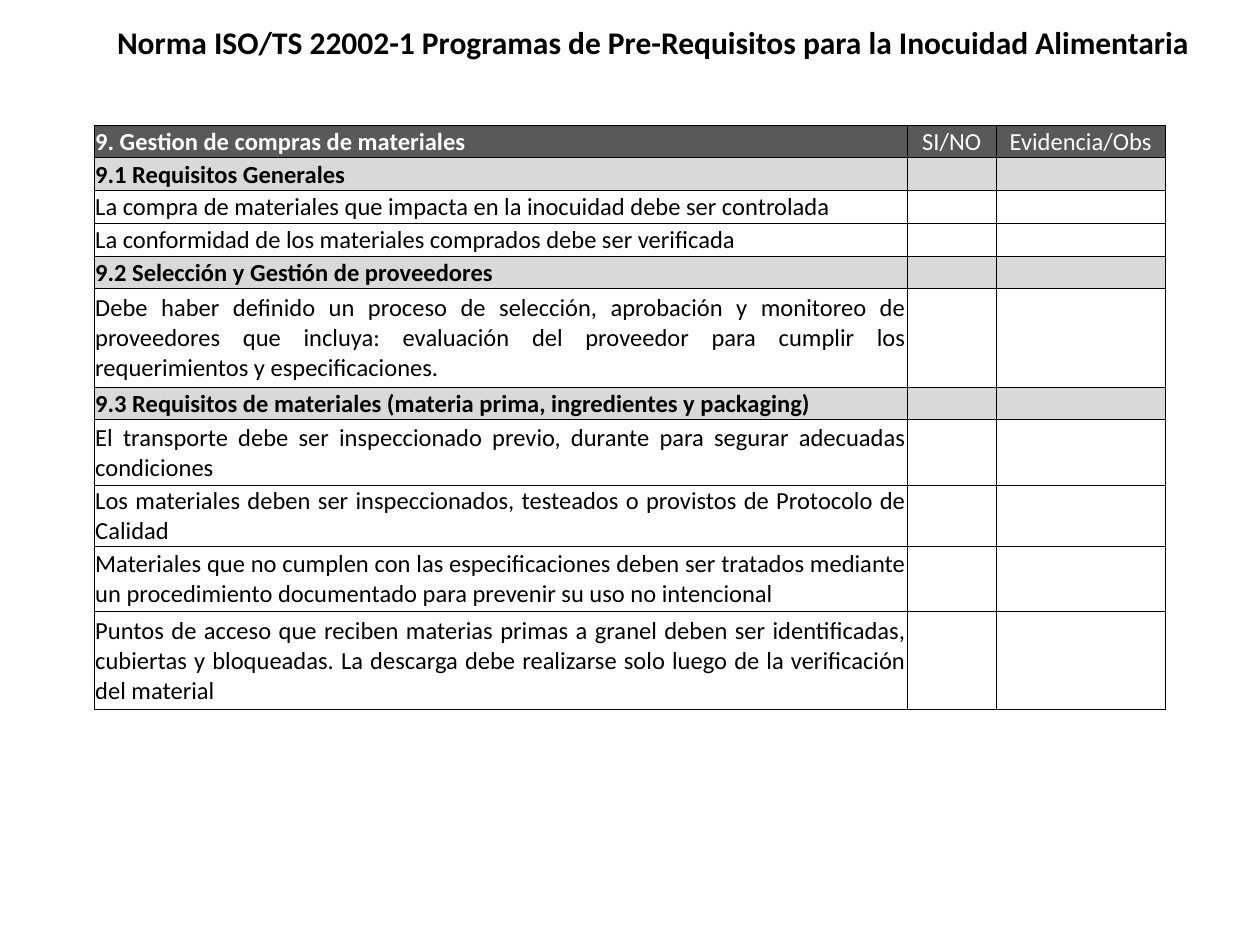
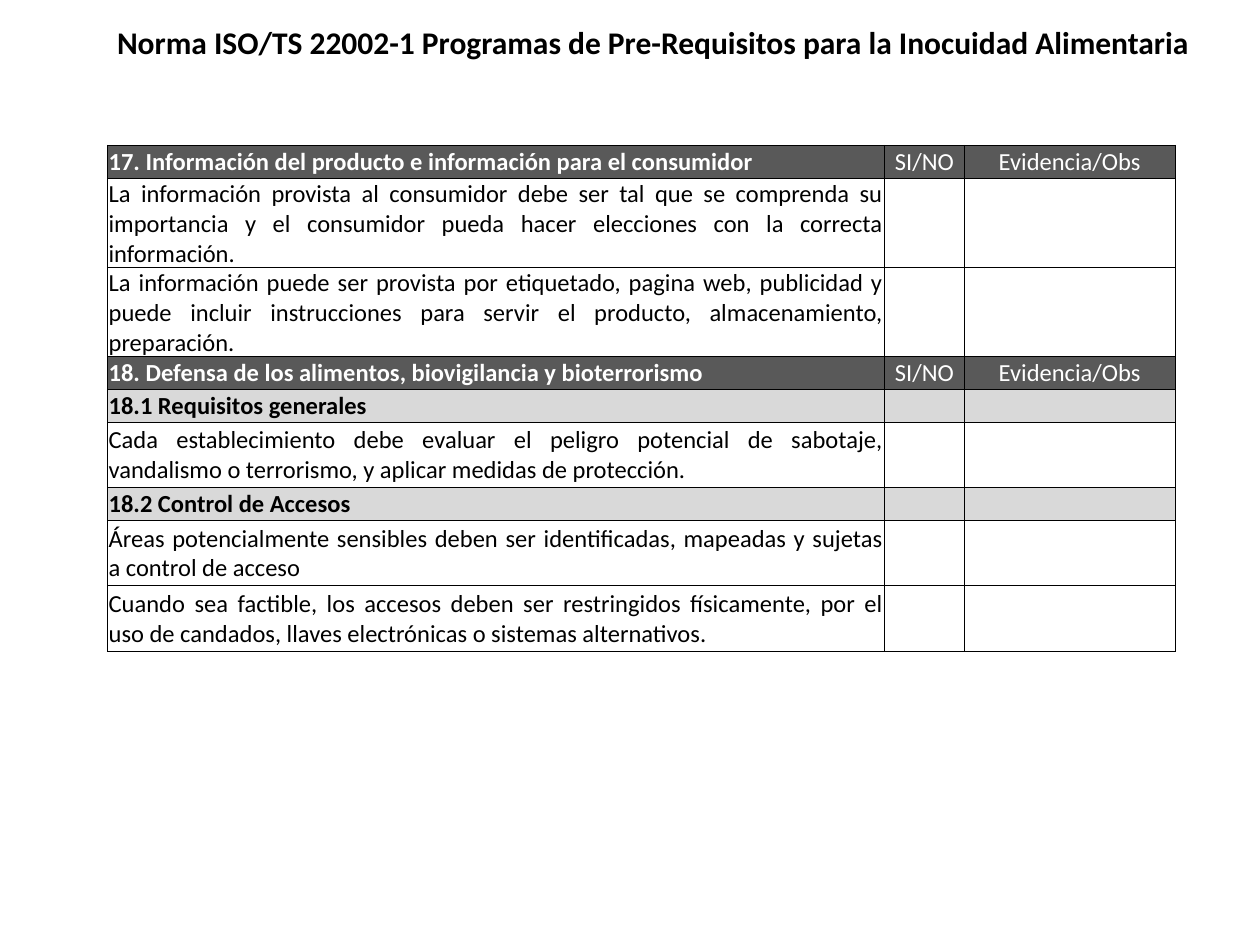
from lxml import etree
from pptx import Presentation
from pptx.dml.color import RGBColor
from pptx.enum.text import MSO_ANCHOR, PP_ALIGN
from pptx.oxml.ns import qn
from pptx.util import Cm, Pt

MIDDLE = MSO_ANCHOR.MIDDLE
CENTER, JUSTIFY = PP_ALIGN.CENTER, PP_ALIGN.JUSTIFY
BLACK = RGBColor(0x00, 0x00, 0x00)
WHITE = RGBColor(0xFF, 0xFF, 0xFF)
DARK = RGBColor(0x59, 0x59, 0x59)
LIGHT = RGBColor(0xD9, 0xD9, 0xD9)

FACE = "Calibri"
BODY = 14
LINE = 0.66
SNUG = {2: 1.23, 3: 1.8}
TITLE = "Norma ISO/TS 22002-1 Programas de Pre-Requisitos para la Inocuidad Alimentaria"
TITLE_BOX = (2.11, 0.33, 22.2, 1.8)
HEADS = ("SI/NO", "Evidencia/Obs")
INSETS = {"margin_left": Cm(0.02), "margin_right": Cm(0.02),
          "margin_top": Cm(0.02), "margin_bottom": Cm(0),
          "vertical_anchor": MIDDLE}
STYLES = {"head": (DARK, WHITE, True), "sub": (LIGHT, BLACK, True),
          "item": (None, BLACK, False), "snug": (None, BLACK, False)}

BUYING = [
    ("head", 1, "9. Gestion de compras de materiales"),
    ("sub", 1, "9.1 Requisitos Generales"),
    ("item", 1, "La compra de materiales que impacta en la inocuidad debe ser controlada"),
    ("item", 1, "La conformidad de los materiales comprados debe ser verificada"),
    ("sub", 1, "9.2 Selección y Gestión de proveedores"),
    ("item", 3, "Debe haber definido un proceso de selección, aprobación y monitoreo de "
     "proveedores que incluya: evaluación del proveedor para cumplir los "
     "requerimientos y especificaciones."),
    ("sub", 1, "9.3 Requisitos de materiales (materia prima, ingredientes y packaging)"),
    ("item", 2, "El transporte debe ser inspeccionado previo, durante para segurar "
     "adecuadas condiciones"),
    ("snug", 2, "Los materiales deben ser inspeccionados, testeados o provistos de "
     "Protocolo de Calidad"),
    ("item", 2, "Materiales que no cumplen con las especificaciones deben ser tratados "
     "mediante un procedimiento documentado para prevenir su uso no intencional"),
    ("item", 3, "Puntos de acceso que reciben materias primas a granel deben ser "
     "identificadas, cubiertas y bloqueadas. La descarga debe realizarse solo luego "
     "de la verificación del material"),
]
DEFENSE = [
    ("head", 1, "17. Información del producto e información para el consumidor"),
    ("snug", 3, "La información provista al consumidor debe ser tal que se comprenda su "
     "importancia y el consumidor pueda hacer elecciones con la correcta información."),
    ("snug", 3, "La información puede ser provista por etiquetado, pagina web, publicidad "
     "y puede incluir instrucciones para servir el producto, almacenamiento, preparación."),
    ("head", 1, "18. Defensa de los alimentos, biovigilancia y bioterrorismo"),
    ("sub", 1, "18.1 Requisitos generales"),
    ("item", 2, "Cada establecimiento debe evaluar el peligro potencial de sabotaje, "
     "vandalismo o terrorismo, y aplicar medidas de protección."),
    ("sub", 1, "18.2 Control de Accesos"),
    ("item", 2, "Áreas potencialmente sensibles deben ser identificadas, mapeadas y "
     "sujetas a control de acceso"),
    ("item", 2, "Cuando sea factible, los accesos deben ser restringidos físicamente, por "
     "el uso de candados, llaves electrónicas o sistemas alternativos."),
]
SLIDES = [
    ((1.9, 2.52), (16.39, 1.79, 3.41), BUYING),
    ((2.17, 2.93), (15.66, 1.61, 4.25), DEFENSE),
]


def apply(target, values):
    """Set every attribute in values on the target."""
    for name, value in values.items():
        setattr(target, name, value)


def write(para, text, size, color, bold):
    """Add one formatted run to a paragraph."""
    run = para.add_run()
    run.text = text
    apply(run.font, {"name": FACE, "size": Pt(size), "bold": bold})
    run.font.color.rgb = color


def add_title(slide, box):
    """Write the shared title in the given box."""
    frame = slide.shapes.add_textbox(*map(Cm, box)).text_frame
    frame.word_wrap = True
    write(frame.paragraphs[0], TITLE, 18, BLACK, True)


def add_border(cell):
    """Draw a thin black line on all four sides of a cell."""
    props = cell._tc.get_or_add_tcPr()
    for side in ("a:lnL", "a:lnR", "a:lnT", "a:lnB"):
        line = etree.SubElement(props, qn(side), w=str(Pt(0.5)))
        fill = etree.SubElement(line, qn("a:solidFill"))
        etree.SubElement(fill, qn("a:srgbClr"), val=str(BLACK))


def fill_cell(cell, text, align, fill, color, bold):
    """Format one cell and write its text, if any."""
    apply(cell, INSETS)
    add_border(cell)
    if fill is None:
        cell.fill.background()
    else:
        cell.fill.solid()
        cell.fill.fore_color.rgb = fill
    para = cell.text_frame.paragraphs[0]
    para.alignment = align
    if text:
        write(para, text, BODY, color, bold)
    else:
        etree.SubElement(para._p, qn("a:endParaRPr"), sz=str(BODY * 100))


def add_list(slide, spot, widths, rows):
    """Build a checklist table with its top left corner at spot."""
    tall = [SNUG[count] if kind == "snug" else LINE * count for kind, count, _ in rows]
    box = (*spot, sum(widths), sum(tall))
    table = slide.shapes.add_table(len(rows), len(widths), *map(Cm, box)).table
    apply(table, {"first_row": False, "horz_banding": False})
    for col, width in zip(table.columns, widths):
        col.width = Cm(width)
    for row, high, (kind, _, text) in zip(table.rows, tall, rows):
        row.height = Cm(high)
        fill, color, bold = STYLES[kind]
        first, *rest = row.cells
        fill_cell(first, text, JUSTIFY, fill, color, bold)
        for cell, head in zip(rest, HEADS):
            label = head if kind == "head" else ""
            fill_cell(cell, label, CENTER, fill, color, False)


def main():
    """Build and save the slides."""
    deck = Presentation()
    apply(deck, {"slide_width": Cm(25.4), "slide_height": Cm(19.05)})
    for spot, widths, rows in SLIDES:
        slide = deck.slides.add_slide(deck.slide_layouts[6])
        add_title(slide, TITLE_BOX)
        add_list(slide, spot, widths, rows)
    deck.save("out.pptx")


if __name__ == "__main__":
    main()
